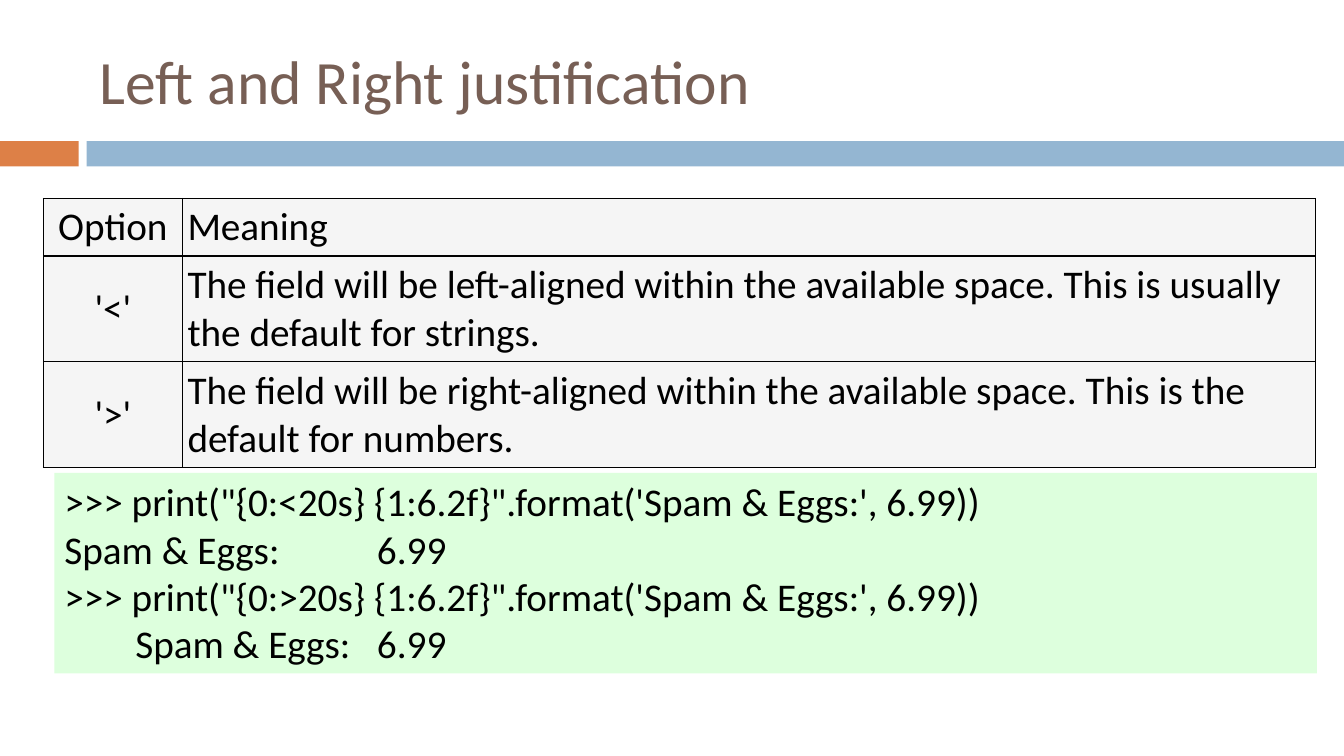
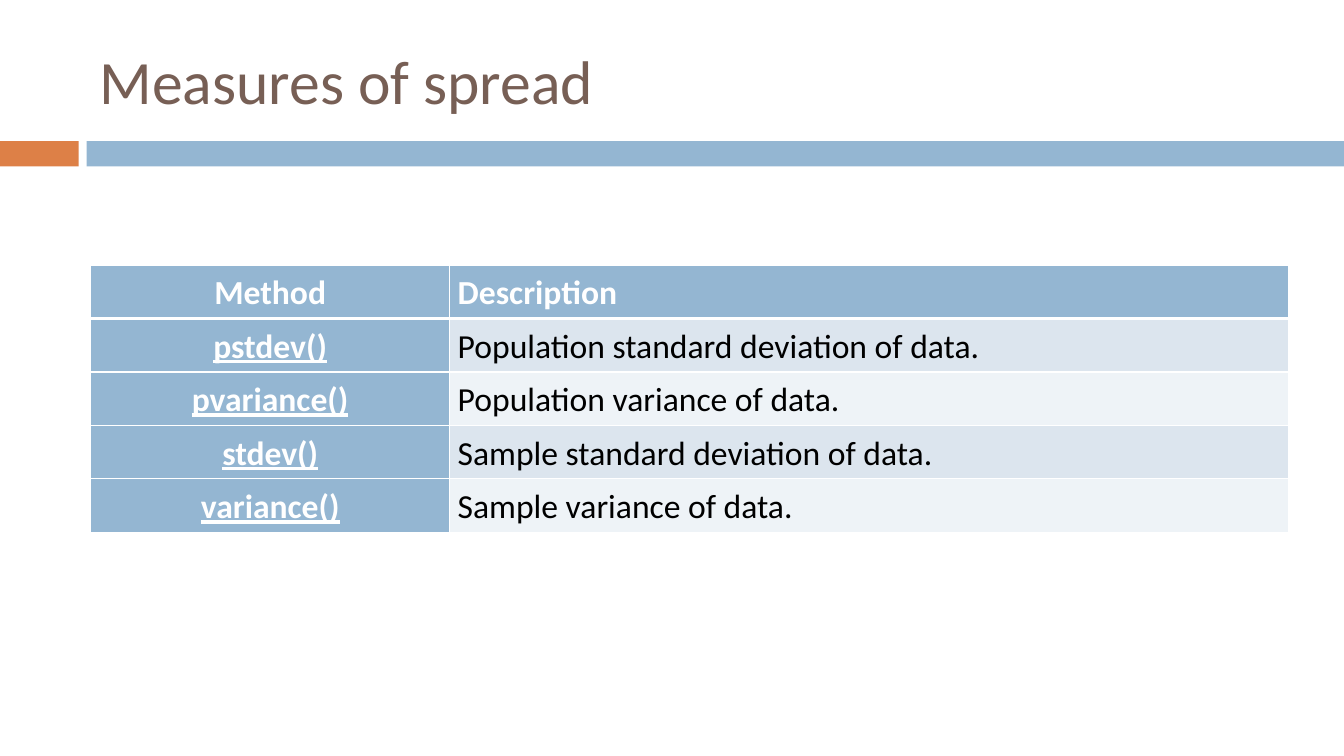
from lxml.etree import SubElement
from pptx import Presentation
from pptx.dml.color import RGBColor
from pptx.enum.shapes import MSO_SHAPE as Preset
from pptx.enum.text import MSO_ANCHOR as Anchor, PP_ALIGN as Align
from pptx.oxml.ns import qn
from pptx.util import Inches, Pt

FONT = "Calibri"
BLACK, WHITE = "000000", "FFFFFF"
BROWN, ORANGE, BLUE = "775F55", "DD8047", "94B6D2"
LIGHT_BLUE, PALE_BLUE = "DCE5EE", "EEF3F7"
GREY, GREEN = "F5F5F5", "DDFFDD"
SLIDE_WIDTH, SLIDE_HEIGHT = 13.33, 7.5
TITLE_BOX = (0.89, 0.25, 11.89, 1.08)
BAND_TOP, BAND_HEIGHT = 1.4, 0.25

OPTIONS = [
    ("Option", "Meaning"),
    ("'<'", "The field will be left-aligned within the available space. "
            "This is usually the default for strings."),
    ("'>'", "The field will be right-aligned within the available space. "
            "This is the default for numbers."),
]
CODE_LINES = [
    """>>> print("{0:<20s} {1:6.2f}".format('Spam & Eggs:', 6.99))""",
    "Spam & Eggs:           6.99",
    """>>> print("{0:>20s} {1:6.2f}".format('Spam & Eggs:', 6.99))""",
    "        Spam & Eggs:   6.99",
]
SPREAD_METHODS = [
    ("Method", "Description"),
    ("pstdev()", "Population standard deviation of data."),
    ("pvariance()", "Population variance of data."),
    ("stdev()", "Sample standard deviation of data."),
    ("variance()", "Sample variance of data."),
]


def color(value):
    return RGBColor.from_string(value)


def inches(box):
    return [Inches(length) for length in box]


def write(paragraph, text, size, ink, align=Align.LEFT, **style):
    paragraph.alignment = align
    run = paragraph.add_run()
    run.text = text
    run.font.color.rgb = color(ink)
    for name, value in {"name": FONT, "size": Pt(size), **style}.items():
        setattr(run.font, name, value)


def add_rectangle(slide, box, fill):
    shape = slide.shapes.add_shape(Preset.RECTANGLE, *inches(box))
    shape.shadow.inherit = False
    shape.fill.solid()
    shape.fill.fore_color.rgb = color(fill)
    shape.line.fill.background()
    return shape


def add_titled_slide(presentation, title):
    slide = presentation.slides.add_slide(presentation.slide_layouts[6])
    for left, right, fill in ((0, 0.78, ORANGE), (0.86, SLIDE_WIDTH, BLUE)):
        add_rectangle(slide, (left, BAND_TOP, right - left, BAND_HEIGHT), fill)
    frame = slide.shapes.add_textbox(*inches(TITLE_BOX)).text_frame
    frame.word_wrap = True
    frame.vertical_anchor = Anchor.MIDDLE
    write(frame.paragraphs[0], title, 44, BROWN)
    return slide


def set_borders(cell, ink, widths):
    properties = cell._tc.get_or_add_tcPr()
    for side in "LRTB":
        line = SubElement(properties, qn(f"a:ln{side}"), w=str(Pt(widths[side])))
        SubElement(SubElement(line, qn("a:solidFill")), qn("a:srgbClr"), val=ink)


def add_grid(slide, box, first_width, row_heights, rows, style_cell, ink, margin, header_rule=1):
    table = slide.shapes.add_table(len(rows), 2, *inches(box)).table
    table.horz_banding = False
    for column, width in zip(table.columns, (first_width, box[2] - first_width)):
        column.width = Inches(width)
    for r, (height, texts) in enumerate(zip(row_heights, rows)):
        table.rows[r].height = Inches(height)
        for c, text in enumerate(texts):
            cell = table.cell(r, c)
            top, bottom = (header_rule if r == edge else 1 for edge in (1, 0))
            set_borders(cell, ink, {"L": 1, "R": 1, "T": top, "B": bottom})
            fill, style = style_cell(r, c)
            cell.fill.solid()
            cell.fill.fore_color.rgb = color(fill)
            cell.vertical_anchor = Anchor.MIDDLE
            cell.margin_left = cell.margin_right = Inches(margin)
            cell.margin_top = cell.margin_bottom = Inches(0.05)
            paragraph = cell.text_frame.paragraphs[0]
            paragraph.line_spacing = style.pop("spacing", 1)
            write(paragraph, text, align=Align.LEFT if c else Align.CENTER, **style)


def option_style(row, column):
    return GREY, {"size": 28, "ink": BLACK, "bold": False}


def method_style(row, column):
    style = {"size": 24, "spacing": 1.07}
    if row and column:
        fill = LIGHT_BLUE if row % 2 else PALE_BLUE
        return fill, {**style, "ink": BLACK, "bold": False}
    return BLUE, {**style, "ink": WHITE, "bold": True, "underline": row > 0}


def add_code(slide, box, lines):
    frame = add_rectangle(slide, box, GREEN).text_frame
    frame.word_wrap = True
    frame.vertical_anchor = Anchor.TOP
    for number, line in enumerate(lines):
        paragraph = frame.add_paragraph() if number else frame.paragraphs[0]
        write(paragraph, line, 28, BLACK)


def build_justification(presentation):
    slide = add_titled_slide(presentation, "Left and Right justification")
    add_grid(slide, (0.43, 1.97, 12.62, 2.67), 1.38, (0.57, 1.05, 1.05),
             OPTIONS, option_style, BLACK, 0.05)
    add_code(slide, (0.54, 4.69, 12.52, 1.99), CODE_LINES)


def build_spread(presentation):
    slide = add_titled_slide(presentation, "Measures of spread")
    add_grid(slide, (0.9, 2.63, 11.88, 2.65), 3.56, [0.53] * len(SPREAD_METHODS),
             SPREAD_METHODS, method_style, WHITE, 0.08, header_rule=3)


def main():
    presentation = Presentation()
    presentation.slide_width = Inches(SLIDE_WIDTH)
    presentation.slide_height = Inches(SLIDE_HEIGHT)
    build_justification(presentation)
    build_spread(presentation)
    presentation.save("out.pptx")


if __name__ == "__main__":
    main()
